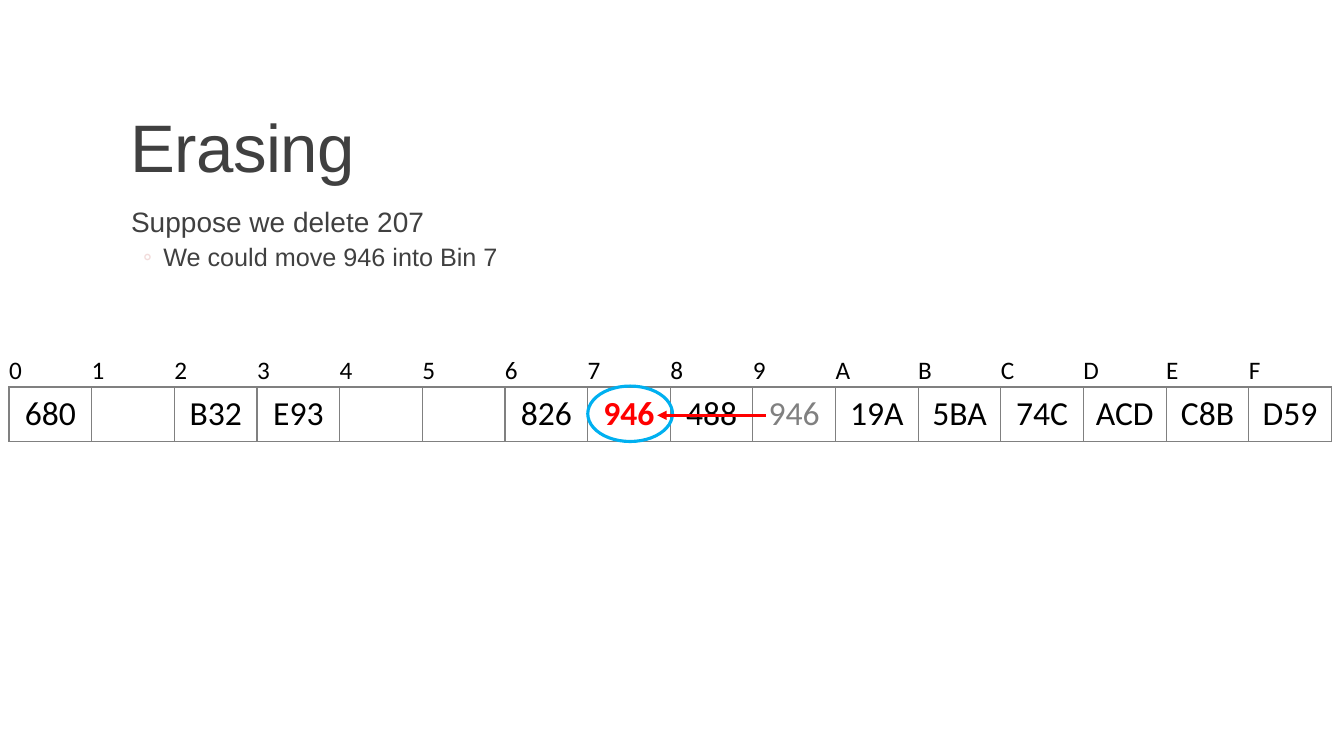
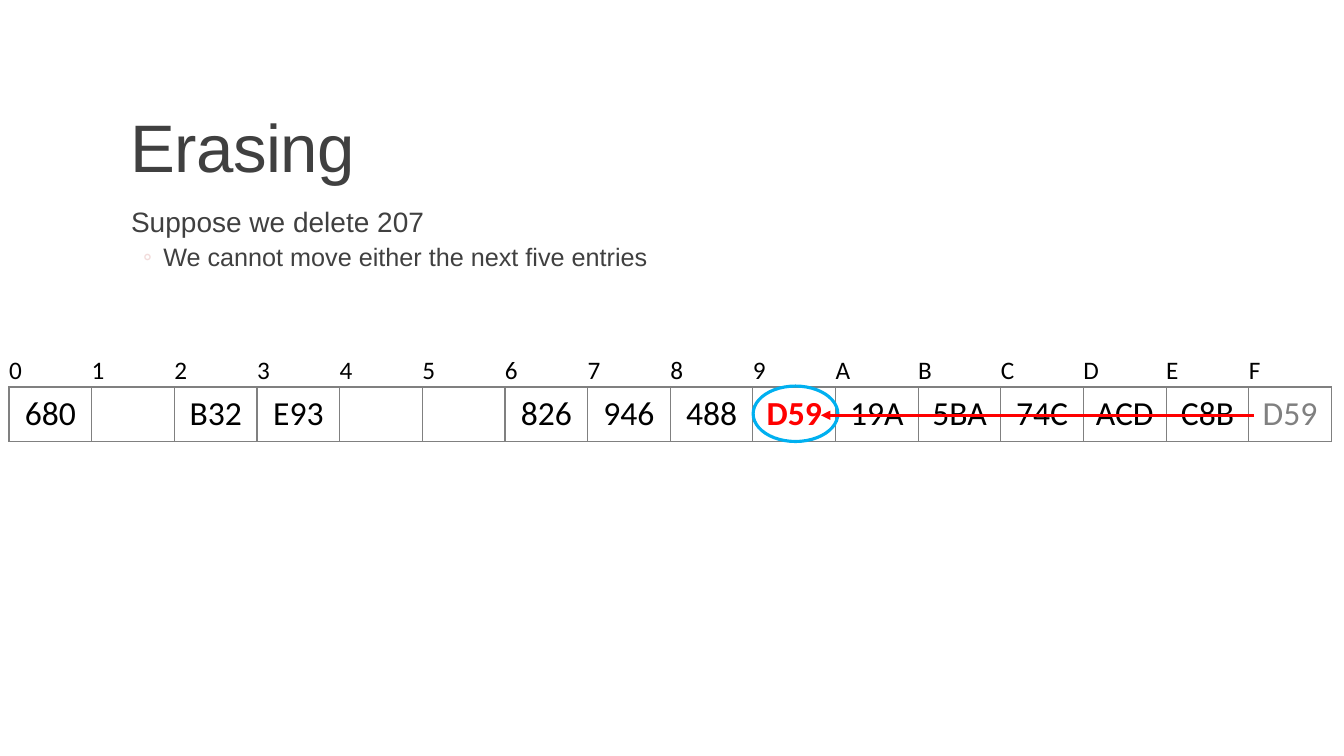
import pptx
import pptx.dml.color
import pptx.enum.shapes
import pptx.enum.text
import pptx.oxml
import pptx.oxml.ns
import pptx.util
from lxml import etree

Inches, Pt = pptx.util.Inches, pptx.util.Pt
SHAPE = pptx.enum.shapes.MSO_SHAPE
ANCHOR = pptx.enum.text.MSO_ANCHOR
ALIGN = pptx.enum.text.PP_ALIGN

INK, BLACK, GREY = "404040", "000000", "808080"
RED, BLUE, PALE = "FF0000", "00B0F0", "F2DCDB"
TITLE_FONT, BIN_FONT = "Arial", "Calibri"

TEXT_LEFT, TEXT_W = 1.2, 11
BINS = "0123456789ABCDEF"
GRID_LEFT, GRID_TOP, COL_W = 0.09, 3.51, 0.82
LABEL_H, BIN_H = 0.33, 0.54
LINE_W = 2.25

TITLE = "Erasing"
LEAD = "Suppose we delete 207"
ENTRIES = ["680", "", "B32", "E93", "", "", "826", "946",
           "488", "946", "19A", "5BA", "74C", "ACD", "C8B", "D59"]


def rgb(value):
    return pptx.dml.color.RGBColor.from_string(value)


def col_x(col):
    """Left edge of a bin; fractions fall inside the bin."""
    return GRID_LEFT + col * COL_W


def sub(parent, tag, **attrs):
    return etree.SubElement(parent, pptx.oxml.ns.qn(tag), attrs)


def add_run(p, text, size, color, font, bold=False):
    r = p.add_run()
    r.text = text
    r.font.size, r.font.name, r.font.bold = Pt(size), font, bold
    r.font.color.rgb = rgb(color)
    return r


def add_box(s, top, height, anchor):
    tf = s.shapes.add_textbox(Inches(TEXT_LEFT), Inches(top),
                              Inches(TEXT_W), Inches(height)).text_frame
    tf.word_wrap, tf.vertical_anchor = True, anchor
    return tf


def add_title(s, text):
    p = add_box(s, 0.31, 1.59, ANCHOR.BOTTOM).paragraphs[0]
    p.line_spacing = 0.85
    r = add_run(p, text, 48, INK, TITLE_FONT)
    r.font._element.set("spc", "-50")


def indent(p, left, first=0):
    pPr = p._p.get_or_add_pPr()
    pPr.set("marL", str(Inches(left)))
    pPr.set("indent", str(Inches(first)))
    return pPr


def add_body(s, lead, point):
    tf = add_box(s, 2.02, 4.4, ANCHOR.TOP)
    tf.margin_left = tf.margin_right = 0
    p = tf.paragraphs[0]
    indent(p, 0.1)
    p.line_spacing, p.space_after = 0.9, Pt(2)
    add_run(p, lead, 20, INK, TITLE_FONT)

    p = tf.add_paragraph()
    p.level = 1
    pPr = indent(p, 0.42, -0.2)
    sub(sub(pPr, "a:buClr"), "a:srgbClr", val=PALE)
    sub(pPr, "a:buFont", typeface=BIN_FONT)
    sub(pPr, "a:buChar", char="◦")
    p.line_spacing, p.space_before, p.space_after = 0.9, Pt(2), Pt(4)
    add_run(p, point, 18, INK, TITLE_FONT)


def set_borders(cell, sides):
    tcPr = cell._tc.get_or_add_tcPr()
    for side in "LRTB":
        if side in sides:
            ln = sub(tcPr, f"a:ln{side}", w=str(Pt(1)))
            sub(sub(ln, "a:solidFill"), "a:srgbClr", val=GREY)
        else:
            sub(sub(tcPr, f"a:ln{side}", w="0"), "a:noFill")


def fill_cell(cell, text, size, align, sides, color=BLACK, bold=False):
    set_borders(cell, sides)
    cell.fill.background()
    cell.margin_left = cell.margin_right = 0
    cell.margin_top = cell.margin_bottom = 0
    cell.vertical_anchor = ANCHOR.MIDDLE
    p = cell.text_frame.paragraphs[0]
    p.alignment = align
    if text:
        add_run(p, text, size, color, BIN_FONT, bold)


def add_bins(s, entries, source, target):
    """Hash table in which the entry of source has moved to target."""
    table = s.shapes.add_table(
        2, len(BINS), Inches(GRID_LEFT), Inches(GRID_TOP),
        Inches(COL_W * len(BINS)), Inches(LABEL_H + BIN_H)).table
    table.first_row = table.horz_banding = False
    for row, height in zip(table.rows, (LABEL_H, BIN_H)):
        row.height = Inches(height)
    colors = {source: GREY, target: RED}
    for col, (label, entry) in enumerate(zip(BINS, entries)):
        table.columns[col].width = Inches(COL_W)
        fill_cell(table.cell(0, col), label, 18, ALIGN.LEFT, "B")
        fill_cell(table.cell(1, col), entry, 24, ALIGN.CENTER, "LRTB",
                  colors.get(col, BLACK), col == target)


def add_ring(s, col):
    sp = s.shapes.add_shape(SHAPE.OVAL, Inches(col_x(col)), Inches(3.83),
                            Inches(0.84), Inches(0.55))
    sp.shadow.inherit = False
    sp.fill.background()
    sp.line.color.rgb, sp.line.width = rgb(BLUE), Pt(LINE_W)


def add_move_arrow(s, start, end):
    """Arrow along the row of bins; both ends are given in columns."""
    y = Inches(4.12)
    line = s.shapes.add_connector(pptx.enum.shapes.MSO_CONNECTOR.STRAIGHT,
                                  Inches(col_x(start)), y, Inches(col_x(end)), y)
    line.line.color.rgb, line.line.width = rgb(RED), Pt(LINE_W)
    sub(line.line._get_or_add_ln(), "a:tailEnd", type="triangle")
    sub(line._element.spPr, "a:effectLst")


def add_slide(prs, point, entries, source, target, arrow):
    s = prs.slides.add_slide(prs.slide_layouts[6])
    add_title(s, TITLE)
    add_body(s, LEAD, point)
    moved = list(entries)
    moved[target] = moved[source]
    add_bins(s, moved, source, target)
    add_ring(s, target)
    add_move_arrow(s, *arrow)


def main():
    prs = pptx.Presentation()
    prs.slide_width, prs.slide_height = Inches(13.33), Inches(7.5)
    add_slide(prs, "We could move 946 into Bin 7", ENTRIES, 9, 7, (9.15, 7.84))
    add_slide(prs, "We cannot move either the next five entries", ENTRIES, 15, 9,
              (15.06, 9.82))
    prs.save("out.pptx")


if __name__ == "__main__":
    main()
